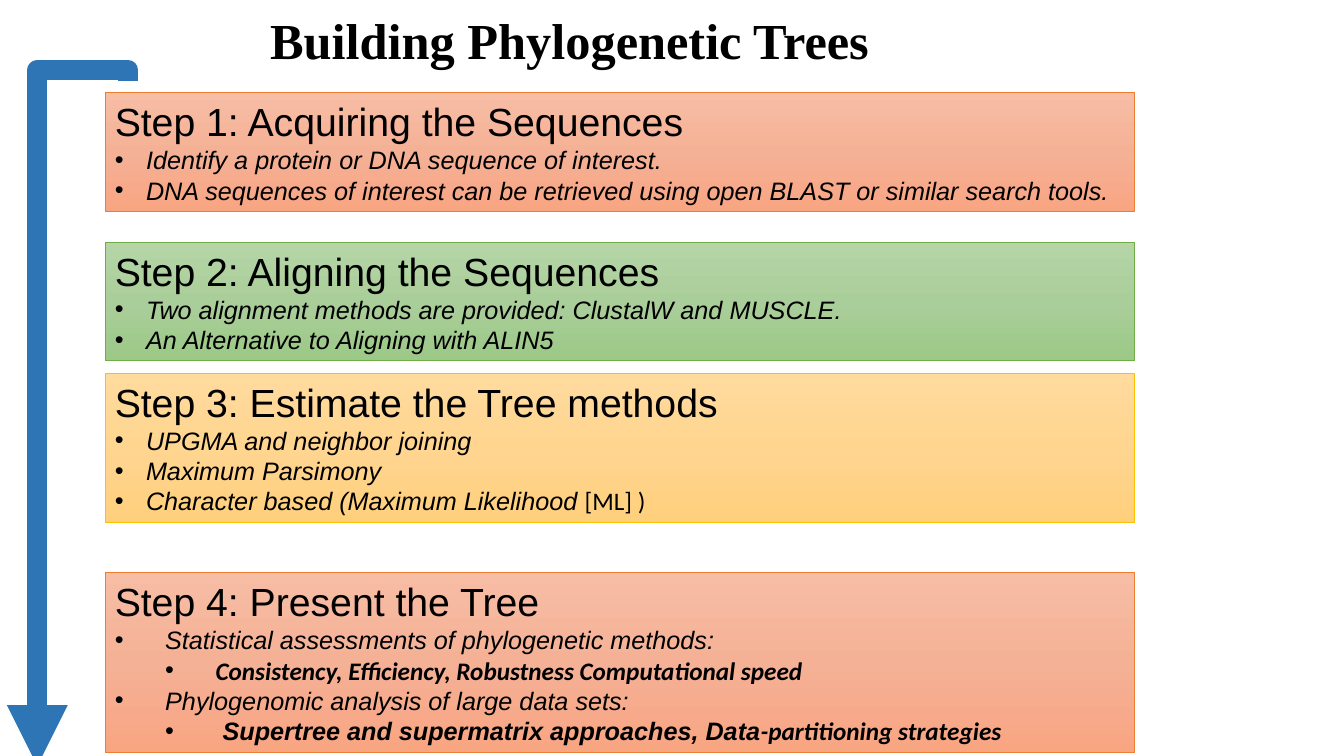
from copy import deepcopy

from lxml import etree
from pptx import Presentation
from pptx.dml.color import RGBColor
from pptx.enum import shapes, text
from pptx.oxml.ns import qn
from pptx.util import Inches, Pt

BLACK = RGBColor(0, 0, 0)
BLUE = RGBColor(0x2E, 0x75, 0xB6)
# Each theme: outline, then the gradient from top to bottom
ORANGE = [RGBColor.from_string(c) for c in ("ED7D31", "F7BDA5", "F5B196", "F8A582")]
GREEN = [RGBColor.from_string(c) for c in ("70AD47", "B5D5A7", "AACE9A", "9CC987")]
GOLD = [RGBColor.from_string(c) for c in ("FFC000", "FFDB9E", "FFD590", "FFD07C")]

# Step: top, height, theme, bullet indent, heading, bullets as (level, spans)
# Span: text, font, italic
STEPS = [
    (0.92, 1.18, ORANGE, 0.31, "Step 1: Acquiring the Sequences", [
        (0, [("Identify a protein or DNA sequence of interest.", "Arial", True)]),
        (0, [("DNA sequences of interest can be retrieved using open BLAST "
              "or similar search tools.", "Arial", True)]),
    ]),
    (2.4, 1.18, GREEN, 0.31, "Step 2: Aligning the Sequences", [
        (0, [("Two alignment methods are provided: ClustalW and MUSCLE.", "Arial", True)]),
        (0, [("An Alternative to Aligning with ALIN5", "Arial", True)]),
    ]),
    (3.7, 1.48, GOLD, 0.31, "Step 3: Estimate the Tree methods", [
        (0, [("UPGMA and neighbor joining", "Arial", True)]),
        (0, [("Maximum Parsimony", "Arial", True)]),
        (0, [("Character based (Maximum Likelihood ", "Arial", True),
             ("[ML] )", "Calibri", False)]),
    ]),
    (5.68, 1.78, ORANGE, 0.5, "Step 4: Present the Tree", [
        (0, [("Statistical assessments of phylogenetic methods:", "Arial", True)]),
        (1, [("Consistency, Efficiency, Robustness Computational speed", "Calibri", True)]),
        (0, [("Phylogenomic analysis of large data sets:", "Arial", True)]),
        (1, [(" Supertree and supermatrix approaches, Data", "Arial", True),
             ("-partitioning strategies", "Calibri", True)]),
    ]),
]


def style(para, size, name, bold=False):
    font = para.font
    font.size, font.name, font.bold = Pt(size), name, bold
    font.color.rgb = BLACK


def add_bullet(para, level, indent):
    para.level = level
    props = para._p.get_or_add_pPr()
    props.set("marL", str(Inches(indent * (level + 1))))
    props.set("indent", str(-Inches(indent)))
    etree.SubElement(props, qn("a:buFont")).set("typeface", "Arial")
    etree.SubElement(props, qn("a:buChar")).set("char", "•")


deck = Presentation()
deck.slide_width, deck.slide_height = Inches(13.33), Inches(7.5)
page = deck.slides.add_slide(deck.slide_layouts[6])

# Arrow down the left side, an elbow turned by a quarter
arrow = page.shapes.add_connector(
    shapes.MSO_CONNECTOR.ELBOW, Inches(-2.58), Inches(3.75), Inches(4.22), Inches(4.65))
arrow.line.color.rgb = BLUE
arrow.line.width = Pt(14.5)
arrow_props = arrow._element.spPr
arrow_props.find(qn("a:xfrm")).set("rot", str(90 * 60000))
guide = etree.SubElement(arrow_props.find(qn("a:prstGeom")).find(qn("a:avLst")), qn("a:gd"))
guide.set("name", "adj1")
guide.set("fmla", "val -1500")
etree.SubElement(arrow_props.find(qn("a:ln")), qn("a:tailEnd")).set("type", "triangle")
etree.SubElement(arrow_props, qn("a:effectLst"))

# Step boxes
for top, height, (outline, *shades), indent, heading, bullets in STEPS:
    box = page.shapes.add_shape(
        shapes.MSO_SHAPE.RECTANGLE, Inches(1.04), Inches(top), Inches(10.21), Inches(height))
    box.shadow.inherit = False
    box.line.color.rgb = outline
    box.line.width = Pt(0.5)

    # Three-stop gradient running downwards
    box.fill.gradient()
    box.fill.gradient_angle = 270
    stop_list = box._element.spPr.find(qn("a:gradFill")).find(qn("a:gsLst"))
    stop_list.insert(1, deepcopy(stop_list[0]))
    for stop, shade, position in zip(box.fill.gradient_stops, shades, (0, 0.5, 1)):
        stop.color.rgb = shade
        stop.position = position

    # Heading and bullets
    frame = box.text_frame
    frame.word_wrap = True
    frame.auto_size = text.MSO_AUTO_SIZE.SHAPE_TO_FIT_TEXT
    frame.vertical_anchor = text.MSO_ANCHOR.TOP
    para = frame.paragraphs[0]
    para.text = heading
    para.alignment = text.PP_ALIGN.LEFT
    style(para, 28, "Arial")
    for level, spans in bullets:
        para = frame.add_paragraph()
        para.alignment = text.PP_ALIGN.LEFT
        add_bullet(para, level, indent)
        style(para, 18, spans[0][1], bold=level == 1)
        para.font.italic = True
        for words, name, italic in spans:
            span = para.add_run()
            span.text = words
            if len(spans) > 1:
                span.font.name, span.font.italic = name, italic

# Title
title = page.shapes.add_textbox(Inches(2.58), Inches(0), Inches(6.91), Inches(0.72))
title.text_frame.word_wrap = True
title.text_frame.auto_size = text.MSO_AUTO_SIZE.SHAPE_TO_FIT_TEXT
para = title.text_frame.paragraphs[0]
para.text = "Building Phylogenetic Trees"
para.alignment = text.PP_ALIGN.JUSTIFY
para.line_spacing = 1.07
style(para, 36, "Times New Roman", bold=True)

deck.save("out.pptx")
